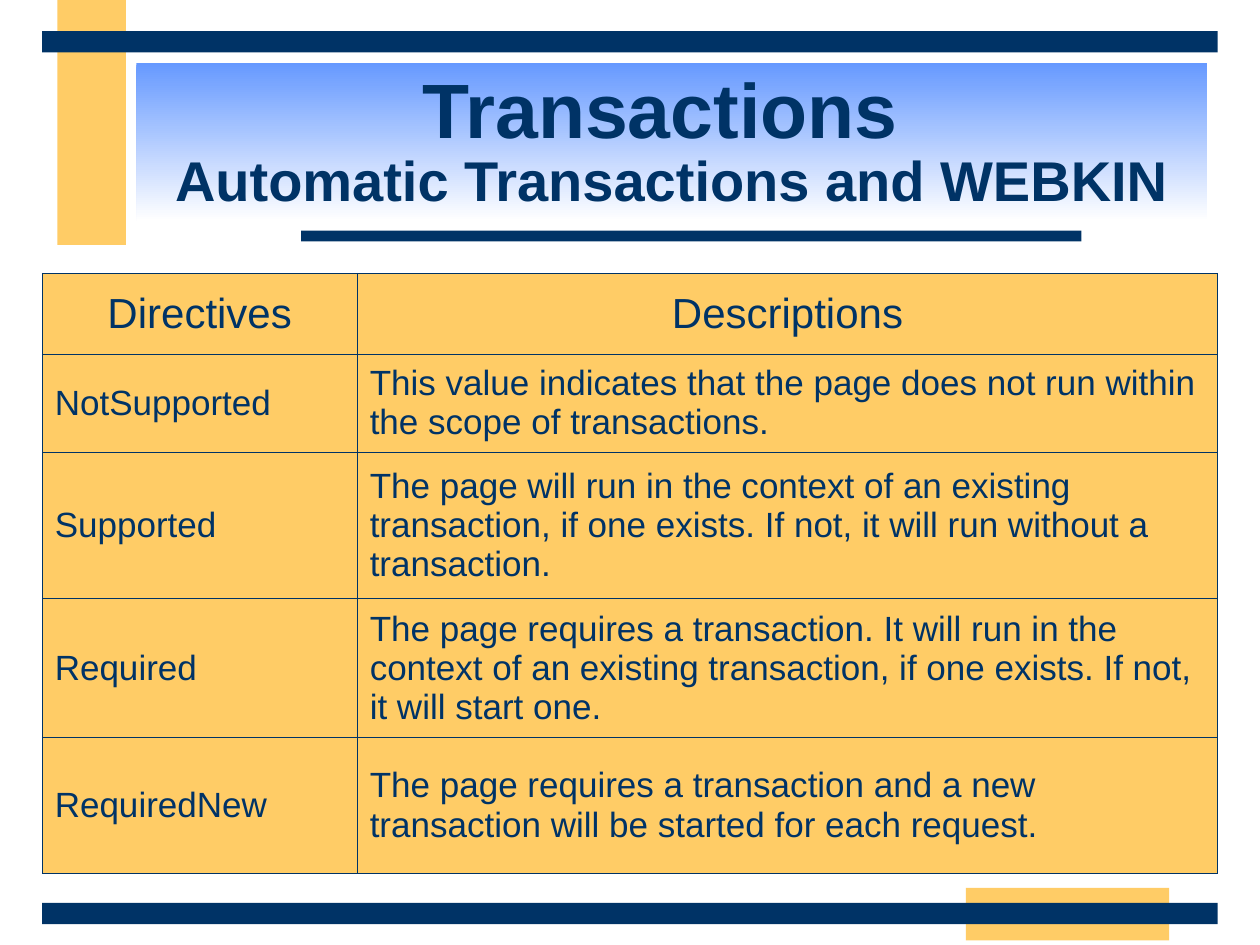
from lxml import etree
from pptx import Presentation
from pptx import util as u
from pptx.dml.color import RGBColor
from pptx.enum import shapes, text
from pptx.oxml import ns

COLORS = {"navy": "003366", "amber": "FFCC66", "sky": "6699FF", "white": "FFFFFF"}

DIRECTIVES = [
    ("Directives", "Descriptions"),
    ("NotSupported",
     "This value indicates that the page does not run within the scope of transactions."),
    ("Supported",
     "The page will run in the context of an existing transaction, if one exists. "
     "If not, it will run without a transaction."),
    ("Required",
     "The page requires a transaction. It will run in the context of an existing "
     "transaction, if one exists. If not, it will start one."),
    ("RequiredNew",
     "The page requires a transaction and a new transaction will be started for each request."),
]


def rgb(name):
    return RGBColor.from_string(COLORS[name])


class SlideBuilder:
    font = "Arial"
    ink = "navy"

    def __init__(self, slide):
        self.slide = slide

    def run(self, paragraph, words, size, bold=False):
        run = paragraph.add_run()
        run.text = words
        run.font.name = self.font
        run.font.size = u.Pt(size)
        run.font.bold = bold
        run.font.color.rgb = rgb(self.ink)

    def bar(self, color, *box):
        bar = self.slide.shapes.add_shape(shapes.MSO_SHAPE.RECTANGLE, *map(u.Cm, box))
        bar.shadow.inherit = False
        bar.fill.solid()
        bar.fill.fore_color.rgb = rgb(color)
        bar.line.fill.background()

    def title(self, heading, subheading, *box):
        title = self.slide.shapes.title
        title.left, title.top, title.width, title.height = map(u.Cm, box)
        title.fill.gradient()
        title.fill.gradient_angle = 270
        for stop, color in zip(title.fill.gradient_stops, ("sky", "white")):
            stop.color.rgb = rgb(color)
        frame = title.text_frame
        frame.word_wrap = True
        frame.auto_size = text.MSO_AUTO_SIZE.NONE
        frame.vertical_anchor = text.MSO_ANCHOR.MIDDLE
        line = frame.paragraphs[0]
        line.alignment = text.PP_ALIGN.CENTER
        line.line_spacing = 0.85
        self.run(line, heading, 44, True)
        self.run(line, " ", 48, True)
        line.add_line_break()
        self.run(line, subheading, 32, True)

    def borders(self, cell, width):
        properties = cell._tc.get_or_add_tcPr()
        for side in ("a:lnL", "a:lnR", "a:lnT", "a:lnB"):
            edge = etree.SubElement(properties, ns.qn(side), w=str(u.Pt(width)))
            fill = etree.SubElement(edge, ns.qn("a:solidFill"))
            etree.SubElement(fill, ns.qn("a:srgbClr"), val=COLORS[self.ink])

    def cell(self, cell, words, is_header):
        self.borders(cell, 0.45)
        cell.fill.solid()
        cell.fill.fore_color.rgb = rgb("amber")
        cell.vertical_anchor = text.MSO_ANCHOR.MIDDLE
        line = cell.text_frame.paragraphs[0]
        line.alignment = text.PP_ALIGN.CENTER if is_header else text.PP_ALIGN.LEFT
        line.space_before = u.Pt(6 if is_header else 5)
        self.run(line, words, 24 if is_header else 20)

    def table(self, rows, left, top, widths, heights):
        box = map(u.Cm, (left, top, sum(widths), sum(heights)))
        table = self.slide.shapes.add_table(len(rows), len(widths), *box).table
        for column, width in zip(table.columns, widths):
            column.width = u.Cm(width)
        for index, (row, height, entries) in enumerate(zip(table.rows, heights, rows)):
            row.height = u.Cm(height)
            for cell, words in zip(row.cells, entries):
                self.cell(cell, words, index == 0)


def main():
    deck = Presentation()
    deck.slide_width, deck.slide_height = u.Cm(25.4), u.Cm(19.05)
    builder = SlideBuilder(deck.slides.add_slide(deck.slide_layouts[5]))

    builder.bar("amber", 1.16, 0, 1.38, 4.94)
    builder.bar("amber", 19.47, 17.9, 4.1, 1.06)
    builder.bar("navy", 6.07, 4.65, 15.73, 0.22)
    for top in (18.2, 0.63):
        builder.bar("navy", 0.85, top, 23.7, 0.43)

    builder.table(DIRECTIVES, 0.85, 5.51, (6.35, 17.35), (1.64, 1.96, 2.96, 2.8, 2.73))
    builder.title("Transactions", "Automatic Transactions and WEBKIN",
                  2.75, 1.27, 21.59, 3.18)
    deck.save("out.pptx")


if __name__ == "__main__":
    main()
